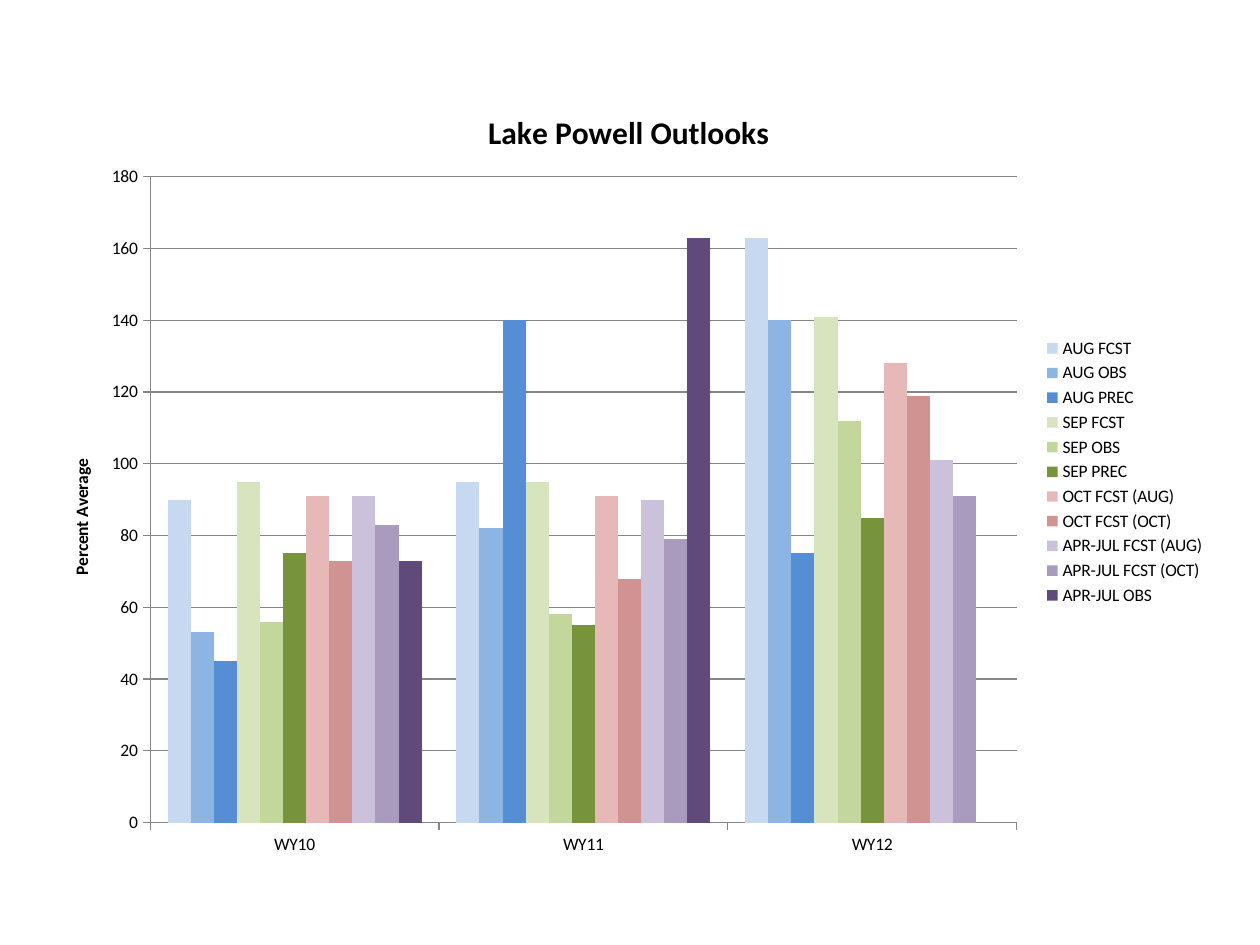
from lxml import etree
from pptx import Presentation
from pptx import util as u
from pptx.chart.data import CategoryChartData
from pptx.dml.color import RGBColor
from pptx.enum import chart as kinds
from pptx.oxml import parse_xml
from pptx.oxml.ns import nsdecls, qn

TITLE = "Lake Powell Outlooks"
AXIS_TITLE = "Percent Average"
YEARS = ["WY10", "WY11", "WY12"]
SERIES = [
    ("AUG FCST", (90, 95, 163)),
    ("AUG OBS", (53, 82, 140)),
    ("AUG PREC", (45, 140, 75)),
    ("SEP FCST", (95, 95, 141)),
    ("SEP OBS", (56, 58, 112)),
    ("SEP PREC", (75, 55, 85)),
    ("OCT FCST (AUG)", (91, 91, 128)),
    ("OCT FCST (OCT)", (73, 68, 119)),
    ("APR-JUL FCST (AUG)", (91, 90, 101)),
    ("APR-JUL FCST (OCT)", (83, 79, 91)),
    ("APR-JUL OBS", (73, 163, None)),
]
COLOURS = {
    "text": "000000",
    "line": "868686",
    "AUG FCST": "C6D9F1",
    "AUG OBS": "8EB4E3",
    "AUG PREC": "558ED5",
    "SEP FCST": "D7E4BD",
    "SEP OBS": "C3D69B",
    "SEP PREC": "77933C",
    "OCT FCST (AUG)": "E6B9B8",
    "OCT FCST (OCT)": "D19392",
    "APR-JUL FCST (AUG)": "CCC1DA",
    "APR-JUL FCST (OCT)": "A99BBD",
    "APR-JUL OBS": "604A7B",
}
FONT = "Calibri"
WIDTH, HEIGHT = 10, 7.5
CHART_BOX = (0.25, 0.58, 9.42, 6.33)
PLOT_SHARES = {"x": 0.1, "y": 0.13, "w": 0.73, "h": 0.81}
TITLE_SHARES = {"x": 0.38, "y": 0.04}
AXIS_TITLE_SHARES = {"x": 0.03, "y": 0.48}


def colour(name):
    return RGBColor.from_string(COLOURS[name])


def style_font(font, size, bold=False):
    font.name = FONT
    font.size = u.Pt(size)
    font.bold = bold
    font.color.rgb = colour("text")


def write_title(title, words, size):
    span = title.text_frame.paragraphs[0].add_run()
    span.text = words
    style_font(span.font, size, True)


def place(element, shares, inner=False):
    for old in element.findall(qn("c:layout")):
        element.remove(old)
    layout = parse_xml(f"<c:layout {nsdecls('c')}><c:manualLayout/></c:layout>")
    settings = [("layoutTarget", "inner")] if inner else []
    settings += [("xMode", "edge"), ("yMode", "edge"), *shares.items()]
    for tag, value in settings:
        etree.SubElement(layout[0], qn(f"c:{tag}")).set("val", str(value))
    text = element.find(qn("c:tx"))
    element.insert(0 if text is None else 1, layout)


def style_line(line):
    line.color.rgb = colour("line")
    line.width = u.Pt(0.75)


def style_axis(axis):
    style_line(axis.format.line)
    style_font(axis.tick_labels.font, 10)
    axis.major_tick_mark = kinds.XL_TICK_MARK.OUTSIDE
    axis.minor_tick_mark = kinds.XL_TICK_MARK.NONE


def add_outlook_chart(page):
    data = CategoryChartData(number_format="General")
    data.categories = YEARS
    for name, values in SERIES:
        data.add_series(name, values)
    frame = page.shapes.add_chart(
        kinds.XL_CHART_TYPE.COLUMN_CLUSTERED, *map(u.Inches, CHART_BOX), data)
    chart = frame.chart
    style_font(chart.font, 10)

    write_title(chart.chart_title, TITLE, 18)
    chart.chart_title.include_in_layout = False
    place(chart.chart_title._element, TITLE_SHARES)

    plot = chart.plots[0]
    plot.gap_width = 150
    plot.overlap = 0
    plot.vary_by_categories = False
    for series in plot.series:
        series.format.fill.solid()
        series.format.fill.fore_color.rgb = colour(series.name)
        series.invert_if_negative = False
    place(chart._chartSpace.chart.plotArea, PLOT_SHARES, inner=True)

    style_axis(chart.category_axis)
    percent = chart.value_axis
    style_axis(percent)
    percent.minimum_scale, percent.maximum_scale, percent.major_unit = 0, 180, 20
    percent.has_major_gridlines = True
    style_line(percent.major_gridlines.format.line)
    write_title(percent.axis_title, AXIS_TITLE, 10)
    place(percent.axis_title._element, AXIS_TITLE_SHARES)
    turn = percent.axis_title.text_frame._txBody.bodyPr
    turn.set("rot", "-5400000")
    turn.set("vert", "horz")

    chart.has_legend = True
    chart.legend.position = kinds.XL_LEGEND_POSITION.RIGHT
    chart.legend.include_in_layout = False
    style_font(chart.legend.font, 10)


def main():
    deck = Presentation()
    deck.slide_width, deck.slide_height = u.Inches(WIDTH), u.Inches(HEIGHT)
    page = deck.slides.add_slide(deck.slide_layouts[6])
    add_outlook_chart(page)
    deck.save("out.pptx")


if __name__ == "__main__":
    main()
